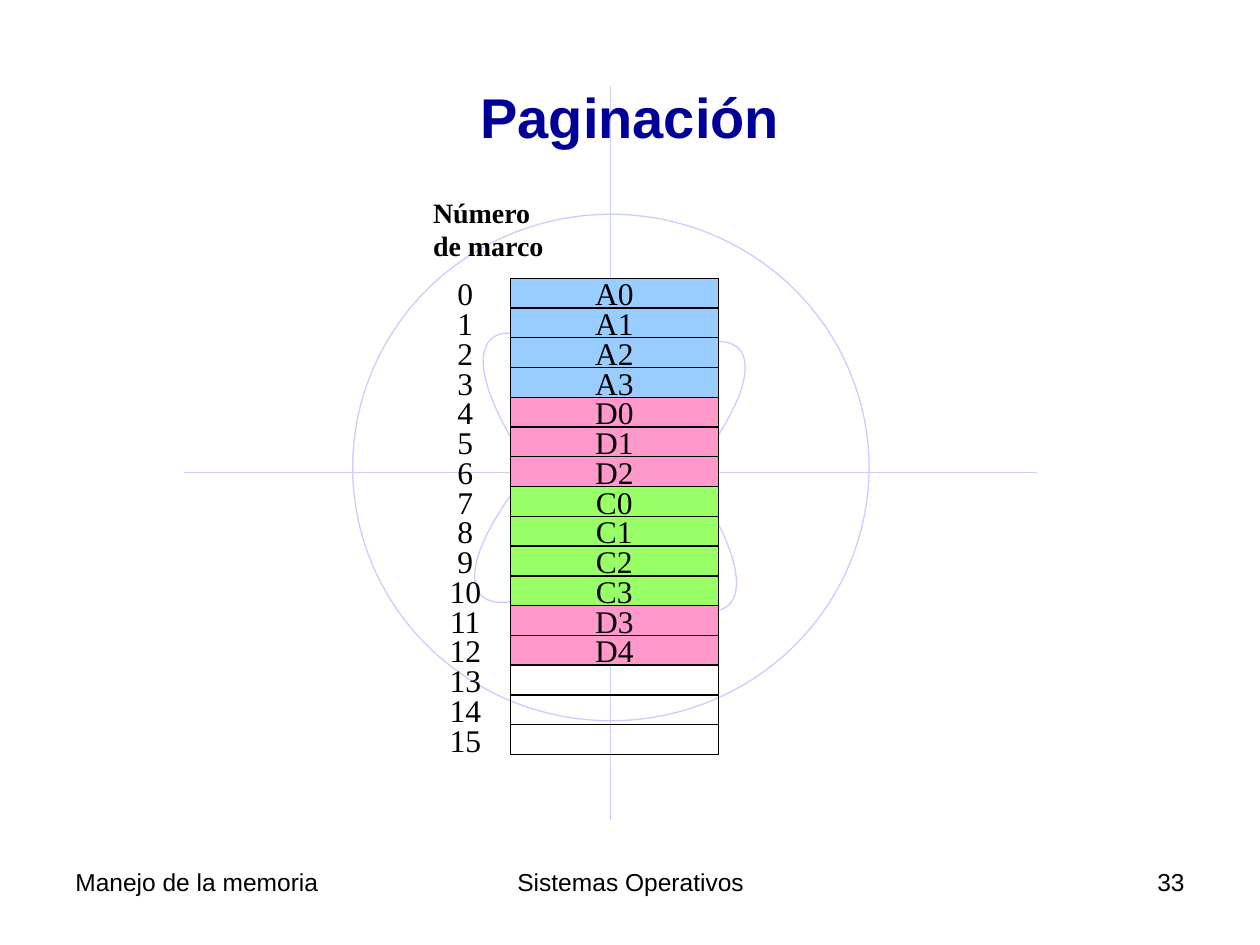
from dataclasses import dataclass

from pptx import Presentation
from pptx import util as u
from pptx.dml.color import RGBColor
from pptx.enum import shapes, text
from pptx.oxml.ns import qn
from lxml import etree


@dataclass(frozen=True)
class Theme:
    heading_font: str = "Arial"
    diagram_font: str = "Times New Roman"
    ink: str = "000000"
    title: str = "000099"
    backdrop: str = "CCCCFF"
    process_a: str = "99CCFF"
    process_c: str = "99FF66"
    process_d: str = "FF99CC"
    title_size: float = 32
    cell_size: float = 18
    label_size: float = 16
    footer_size: float = 14
    line_width: float = 0.75


class SlideBuilder:
    def __init__(self, slide, theme):
        self.slide = slide
        self.theme = theme

    def set_text(self, shape, lines, size, font, color=None, bold=False,
                 align=text.PP_ALIGN.LEFT, anchor=text.MSO_ANCHOR.TOP, wrap=True):
        frame = shape.text_frame
        frame.text = "\n".join(lines)
        frame.word_wrap = wrap
        frame.vertical_anchor = anchor
        for paragraph in frame.paragraphs:
            paragraph.alignment = align
            paragraph.font.name = font
            paragraph.font.size = u.Pt(size)
            paragraph.font.bold = bold
            paragraph.font.color.rgb = RGBColor.from_string(color or self.theme.ink)

    def stroke(self, line, color):
        line.color.rgb = RGBColor.from_string(color)
        line.width = u.Pt(self.theme.line_width)

    def line(self, *ends):
        connector = self.slide.shapes.add_connector(
            shapes.MSO_CONNECTOR.STRAIGHT, *map(u.Cm, ends))
        self.stroke(connector.line, self.theme.backdrop)
        properties = connector.element.find(qn("p:spPr"))
        etree.SubElement(properties, qn("a:effectLst"))

    def outline(self, kind, box, line_color, fill=None, rotation=0):
        shape = self.slide.shapes.add_shape(kind, *map(u.Cm, box))
        shape.shadow.inherit = False
        shape.rotation = rotation
        self.stroke(shape.line, line_color)
        if fill:
            shape.fill.solid()
            shape.fill.fore_color.rgb = RGBColor.from_string(fill)
        else:
            shape.fill.background()
        return shape

    def ellipse(self, box, rotation=0):
        self.outline(shapes.MSO_SHAPE.OVAL, box, self.theme.backdrop, rotation=rotation)

    def title(self, words):
        """Fill the title placeholder and bring it in front of the backdrop."""
        title = self.slide.shapes.title
        title.left, title.top, title.width, title.height = map(
            u.Cm, (1.27, 0.76, 22.86, 3.18))
        self.set_text(title, [words], self.theme.title_size, self.theme.heading_font,
                      self.theme.title, True, text.PP_ALIGN.CENTER, text.MSO_ANCHOR.MIDDLE)
        title.element.getparent().append(title.element)

    def text_box(self, box, lines, size, font, **style):
        shape = self.slide.shapes.add_textbox(*map(u.Cm, box))
        self.set_text(shape, lines, size, font, **style)

    def frame_row(self, number, top, height, page=None, fill=None):
        """Draw one memory frame: its number and the page it holds, if any."""
        style = dict(size=self.theme.cell_size, font=self.theme.diagram_font,
                     align=text.PP_ALIGN.CENTER, anchor=text.MSO_ANCHOR.MIDDLE, wrap=False)
        cell = self.outline(shapes.MSO_SHAPE.RECTANGLE, (10.29, top, 4.19, height),
                            self.theme.ink, fill)
        if page:
            self.set_text(cell, [page], **style)
        self.text_box((8.48, top, 1.8, height), [str(number)], **style)


def main():
    theme = Theme()
    presentation = Presentation()
    presentation.slide_width, presentation.slide_height = u.Cm(25.4), u.Cm(19.05)
    slide = presentation.slides.add_slide(presentation.slide_layouts[5])
    builder = SlideBuilder(slide, theme)

    builder.line(12.3, 1.73, 12.3, 16.54)
    builder.line(3.71, 9.52, 20.9, 9.52)
    builder.ellipse((7.11, 4.32, 10.41, 10.21))
    for rotation in (46.3, 318.3):
        builder.ellipse((11.1, 5.92, 2.39, 7.19), rotation)

    builder.title("Paginación")
    builder.text_box((8.48, 3.81, 2.74, 1.6), ["Número", "de marco"],
                     theme.label_size, theme.diagram_font, bold=True, wrap=False)

    process_fills = {"A": theme.process_a, "C": theme.process_c, "D": theme.process_d}
    pages = "A0 A1 A2 A3 D0 D1 D2 C0 C1 C2 C3 D3 D4".split()
    frame_count, first_top, row_height = 16, 5.61, 0.6
    for number in range(frame_count):
        page = pages[number] if number < len(pages) else None
        fill = process_fills[page[0]] if page else None
        builder.frame_row(number, first_top + number * row_height, row_height, page, fill)

    footers = [
        (1.27, 5.92, "Manejo de la memoria", text.PP_ALIGN.LEFT),
        (8.69, 8.05, "Sistemas Operativos", text.PP_ALIGN.CENTER),
        (18.21, 5.92, "33", text.PP_ALIGN.RIGHT),
    ]
    for left, width, words, align in footers:
        builder.text_box((left, 17.35, width, 1.32), [words],
                         theme.footer_size, theme.heading_font, align=align)

    presentation.save("out.pptx")


if __name__ == "__main__":
    main()
